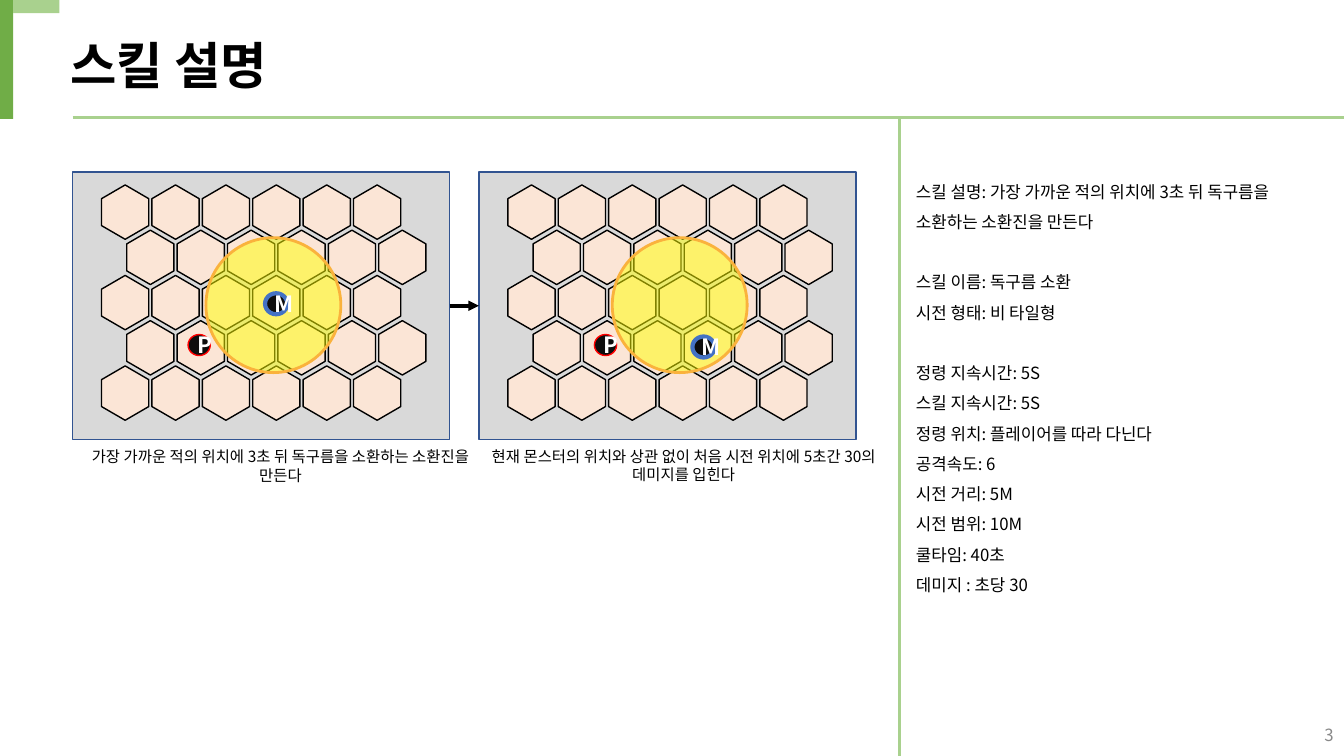
import lxml.etree
import pptx
import pptx.dml.color
import pptx.enum.shapes
import pptx.enum.text
import pptx.oxml.ns
import pptx.util

Cm = pptx.util.Cm
Pt = pptx.util.Pt
RGBColor = pptx.dml.color.RGBColor
SHAPE = pptx.enum.shapes.MSO_SHAPE
ALIGN = pptx.enum.text.PP_ALIGN
ANCHOR = pptx.enum.text.MSO_ANCHOR
qn = pptx.oxml.ns.qn

FONT = "Noto Sans CJK KR"
BLACK = RGBColor(0x00, 0x00, 0x00)
WHITE = RGBColor(0xFF, 0xFF, 0xFF)
NUMBER_GRAY = RGBColor(0x88, 0x88, 0x88)
DARK_GREEN = RGBColor(0x70, 0xAD, 0x47)
LIGHT_GREEN = RGBColor(0xA9, 0xD1, 0x8E)
BOARD_GRAY = RGBColor(0xD9, 0xD9, 0xD9)
BOARD_EDGE = RGBColor(0x32, 0x54, 0x91)
TILE_PEACH = RGBColor(0xFB, 0xE5, 0xD6)
CLOUD_YELLOW = RGBColor(0xFF, 0xFF, 0x00)
CLOUD_EDGE = RGBColor(0xFA, 0xB2, 0x3C)
MARKER_BLACK = RGBColor(0x0D, 0x0D, 0x0D)
PLAYER_RED = RGBColor(0xFF, 0x00, 0x00)
MONSTER_BLUE = RGBColor(0x44, 0x72, 0xC4)

BOARD_TOP, BOARD_WIDTH, BOARD_HEIGHT = 4.34, 9.5, 6.73
TILE_ROWS, TILE_COLUMNS = 5, 6
TILE_WIDTH, TILE_HEIGHT = 1.37, 1.19
COLUMN_STEP, ROW_STEP = 1.27, 1.14
PLAYER_OFFSET = (2.91, 4.09)

# Board left, monster offset on the board, caption left, caption top, caption
STAGES = [
    (1.83, (4.85, 3.05), 1.85, 11.15,
     "가장 가까운 적의 위치에 3초 뒤 독구름을 소환하는 소환진을 만든다"),
    (12.07, (5.38, 4.14), 12.01, 11.13,
     "현재 몬스터의 위치와 상관 없이 처음 시전 위치에 5초간 30의 데미지를 입힌다"),
]

SKILL_SECTIONS = [
    ["스킬 설명: 가장 가까운 적의 위치에 3초 뒤 독구름을 소환하는 소환진을 만든다"],
    ["스킬 이름: 독구름 소환", "시전 형태: 비 타일형"],
    ["정령 지속시간: 5S", "스킬 지속시간: 5S", "정령 위치: 플레이어를 따라 다닌다",
     "공격속도: 6", "시전 거리: 5M", "시전 범위: 10M", "쿨타임: 40초",
     "데미지 : 초당 30"],
]


def write_text(paragraph, text, size, color=BLACK, bold=False,
               align=ALIGN.LEFT, spacing=1.2, before=0):
    """Fill a paragraph; spacing is the line pitch as a multiple of size."""
    paragraph.alignment = align
    paragraph.line_spacing = Pt(size * spacing)
    paragraph.space_before = Pt(before)
    paragraph.space_after = Pt(0)
    run = paragraph.add_run()
    run.text = text
    run.font.size = Pt(size)
    run.font.bold = bold
    run.font.color.rgb = color
    run.font.name = FONT
    east_asian = lxml.etree.SubElement(run.font._element, qn("a:ea"))
    east_asian.set("typeface", FONT)


def place(placeholder, left, top, width, height):
    placeholder.left, placeholder.top = Cm(left), Cm(top)
    placeholder.width, placeholder.height = Cm(width), Cm(height)
    frame = placeholder.text_frame
    frame.auto_size = pptx.enum.text.MSO_AUTO_SIZE.NONE
    frame.word_wrap = True
    frame.vertical_anchor = ANCHOR.TOP
    return frame


def add_label(shapes, left, top, width, height, text,
              anchor=ANCHOR.TOP, **text_format):
    frame = place(shapes.add_textbox(0, 0, 0, 0), left, top, width, height)
    frame.vertical_anchor = anchor
    write_text(frame.paragraphs[0], text, **text_format)


def add_figure(shapes, kind, left, top, width, height, fill,
               edge=None, edge_width=1):
    figure = shapes.add_shape(kind, Cm(left), Cm(top), Cm(width), Cm(height))
    figure.shadow.inherit = False
    figure.fill.solid()
    figure.fill.fore_color.rgb = fill
    if edge is None:
        figure.line.fill.background()
    else:
        figure.line.color.rgb = edge
        figure.line.width = Pt(edge_width)
    return figure


def add_rule(shapes, start, end, color, width):
    rule = shapes.add_connector(pptx.enum.shapes.MSO_CONNECTOR.STRAIGHT,
                                *map(Cm, start + end))
    rule.line.color.rgb = color
    rule.line.width = Pt(width)
    lxml.etree.SubElement(rule._element.spPr, qn("a:effectLst"))
    return rule


def add_board(shapes, left):
    """Draw the hexagon-tiled board as one group and return its panel."""
    board = shapes.add_group_shape().shapes
    panel = add_figure(board, SHAPE.RECTANGLE, left, BOARD_TOP, BOARD_WIDTH,
                       BOARD_HEIGHT, BOARD_GRAY, BOARD_EDGE)
    for row in range(TILE_ROWS):
        row_left = left + 0.64 + row % 2 * COLUMN_STEP / 2
        for column in range(TILE_COLUMNS):
            tile = add_figure(board, SHAPE.HEXAGON,
                              row_left + column * COLUMN_STEP,
                              BOARD_TOP + 0.41 + row * ROW_STEP,
                              TILE_WIDTH, TILE_HEIGHT, TILE_PEACH, BLACK)
            tile.adjustments[0] = 0.29
            tile.rotation = 270
    return panel


def add_poison_cloud(shapes, board_left):
    cloud = add_figure(shapes, SHAPE.OVAL, board_left + 3.36, BOARD_TOP + 1.65,
                       3.4, 3.4, CLOUD_YELLOW, CLOUD_EDGE, 2)
    color = cloud._element.spPr.find(qn("a:solidFill"))[0]
    lxml.etree.SubElement(color, qn("a:alpha")).set("val", "50000")


def add_marker(shapes, board_left, offset, letter, edge, edge_width):
    marker = add_figure(shapes, SHAPE.OVAL, board_left + offset[0],
                        BOARD_TOP + offset[1], 0.56, 0.53,
                        MARKER_BLACK, edge, edge_width)
    marker.text_frame.vertical_anchor = ANCHOR.MIDDLE
    write_text(marker.text_frame.paragraphs[0], letter, size=16, color=WHITE,
               bold=True, align=ALIGN.CENTER)


def add_skill_details(body):
    frame = place(body, 22.83, 4.19, 10.87, 11.71)
    paragraph = frame.paragraphs[0]
    for section_index, section in enumerate(SKILL_SECTIONS):
        for line_index, line in enumerate(section):
            if section_index or line_index:
                paragraph = frame.add_paragraph()
            opens_section = section_index > 0 and line_index == 0
            write_text(paragraph, line, size=12, spacing=1.8,
                       before=21.6 if opens_section else 0)
            properties = paragraph._p.get_or_add_pPr()
            properties.set("marL", "0")
            properties.set("indent", "0")
            lxml.etree.SubElement(properties, qn("a:buNone"))


def main():
    presentation = pptx.Presentation()
    presentation.slide_width = Cm(33.87)
    presentation.slide_height = Cm(19.05)
    slide = presentation.slides.add_slide(presentation.slide_layouts[1])
    shapes = slide.shapes

    title = place(shapes.title, 1.52, 0.74, 26.34, 1.8)
    write_text(title.paragraphs[0], "스킬 설명", size=36, bold=True)
    add_skill_details(slide.placeholders[1])

    add_figure(shapes, SHAPE.RECTANGLE, 0, 0, 0.33, 3, DARK_GREEN)
    add_figure(shapes, SHAPE.RECTANGLE, 0.33, 0, 1.17, 0.33, LIGHT_GREEN)
    add_rule(shapes, (1.83, 2.97), (33.87, 2.97), LIGHT_GREEN, 2.25)
    add_rule(shapes, (22.66, 19.05), (22.66, 2.97), LIGHT_GREEN, 2.25)

    panels = []
    for left, monster_offset, caption_left, caption_top, caption in STAGES:
        panels.append(add_board(shapes, left))
        add_poison_cloud(shapes, left)
        add_marker(shapes, left, PLAYER_OFFSET, "P", PLAYER_RED, 1)
        add_marker(shapes, left, monster_offset, "M", MONSTER_BLUE, 3)
        add_label(shapes, caption_left, caption_top, 10.44, 1.19, caption,
                  size=11, align=ALIGN.CENTER)

    arrow = add_rule(shapes, (11.33, 7.7), (12.07, 7.7), BLACK, 2.5)
    arrow.begin_connect(panels[0], 3)
    arrow.end_connect(panels[1], 1)
    lxml.etree.SubElement(arrow.line._get_or_add_ln(),
                          qn("a:tailEnd")).set("type", "triangle")

    add_label(shapes, 26.24, 18.01, 7.62, 1.02, "3", anchor=ANCHOR.MIDDLE,
              size=12, color=NUMBER_GRAY, align=ALIGN.RIGHT)
    presentation.save("out.pptx")


if __name__ == "__main__":
    main()
